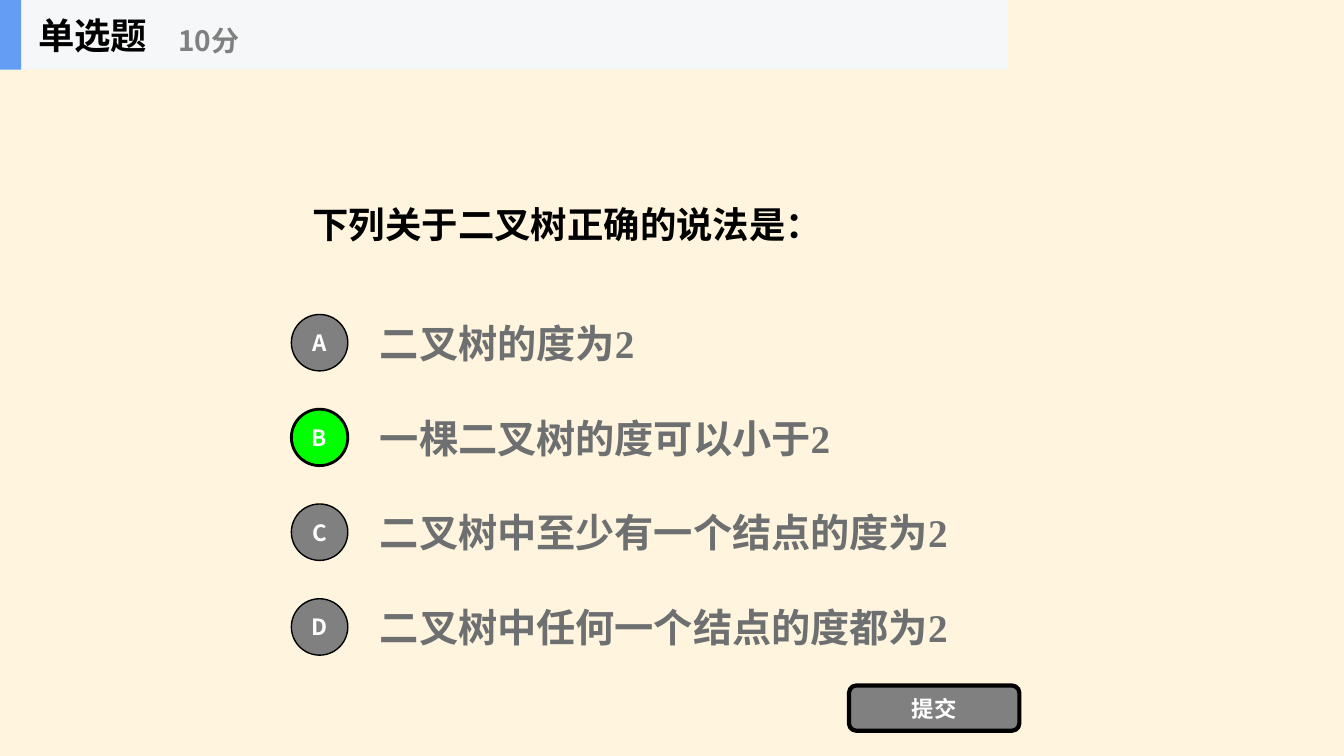
from pptx import Presentation
from pptx.dml.color import RGBColor
from pptx.enum.shapes import MSO_SHAPE
from pptx.enum.text import MSO_ANCHOR, PP_ALIGN
from pptx.oxml.ns import qn
from pptx.util import Inches, Pt

SANS = "Noto Sans CJK SC"
SERIF = "Times New Roman"
GRAY = "808080"


def rgb(value):
    return RGBColor.from_string(value)


def write(sp, text, size=16, color="FFFFFF", font=SANS, align=PP_ALIGN.LEFT, inset=0.1):
    tf = sp.text_frame
    tf.word_wrap = True
    tf.vertical_anchor = MSO_ANCHOR.MIDDLE
    tf.margin_left = tf.margin_right = Inches(inset)
    tf.margin_top = tf.margin_bottom = Inches(inset / 2)
    p = tf.paragraphs[0]
    p.alignment = align
    r = p.add_run()
    r.text = text
    r.font.size = Pt(size)
    r.font.bold = True
    r.font.name = font
    r.font.color.rgb = rgb(color)
    ea = r._r.get_or_add_rPr().makeelement(qn("a:ea"), {"typeface": SANS})
    r._r.rPr.find(qn("a:latin")).addnext(ea)


def add_text(s, box, text, **style):
    write(s.shapes.add_textbox(*map(Inches, box)), text, **style)


def add_block(s, kind, box, fill, line=0):
    sp = s.shapes.add_shape(kind, *map(Inches, box))
    sp.shadow.inherit = False
    sp.fill.solid()
    sp.fill.fore_color.rgb = rgb(fill)
    if line:
        sp.line.color.rgb = rgb("000000")
        sp.line.width = Pt(line)
    else:
        sp.line.fill.background()
    return sp


def add_header(s, x, y, w, h):
    add_block(s, MSO_SHAPE.RECTANGLE, (x, y, w, h), "F6F7F8")
    add_block(s, MSO_SHAPE.RECTANGLE, (x, y, 0.21, h), "639EF4")
    add_text(s, (x + 0.28, y, 2.08, h), "单选题", size=26, color="000000")
    add_text(s, (x + 1.67, y + 0.12, 2.5, 0.56), "10分", size=20, color=GRAY)


def add_options(s, x, y, pitch, options, answer):
    for i, text in enumerate(options):
        top = y + i * pitch
        letter = "ABCD"[i]
        fill, line = ("00FF00", 2) if letter == answer else (GRAY, 1)
        add_text(s, (x + 0.78, top, 7, 0.7), text, size=28, color="6D6F71", font=SERIF)
        sp = add_block(s, MSO_SHAPE.OVAL, (x, top + 0.07, 0.56, 0.56), fill, line)
        write(sp, letter, align=PP_ALIGN.CENTER, inset=0)


def add_submit(s, x, y, w, h):
    sp = add_block(s, MSO_SHAPE.ROUNDED_RECTANGLE, (x, y, w, h), GRAY, 3)
    write(sp, "提交", align=PP_ALIGN.CENTER, inset=0)


def main():
    prs = Presentation()
    prs.slide_width, prs.slide_height = Inches(13.33), Inches(7.5)
    s = prs.slides.add_slide(prs.slide_layouts[6])
    s.background.fill.solid()
    s.background.fill.fore_color.rgb = rgb("FFF5DE")
    add_text(s, (3, 1.05, 8, 2.34), "下列关于二叉树正确的说法是：", size=26, color="000000")
    options = [
        "二叉树的度为2",
        "一棵二叉树的度可以小于2",
        "二叉树中至少有一个结点的度为2",
        "二叉树中任何一个结点的度都为2",
    ]
    add_options(s, 2.89, 3.05, 0.94, options, "B")
    add_submit(s, 8.42, 6.8, 1.69, 0.45)
    add_header(s, 0, 0, 10, 0.69)
    prs.save("out.pptx")


if __name__ == "__main__":
    main()
